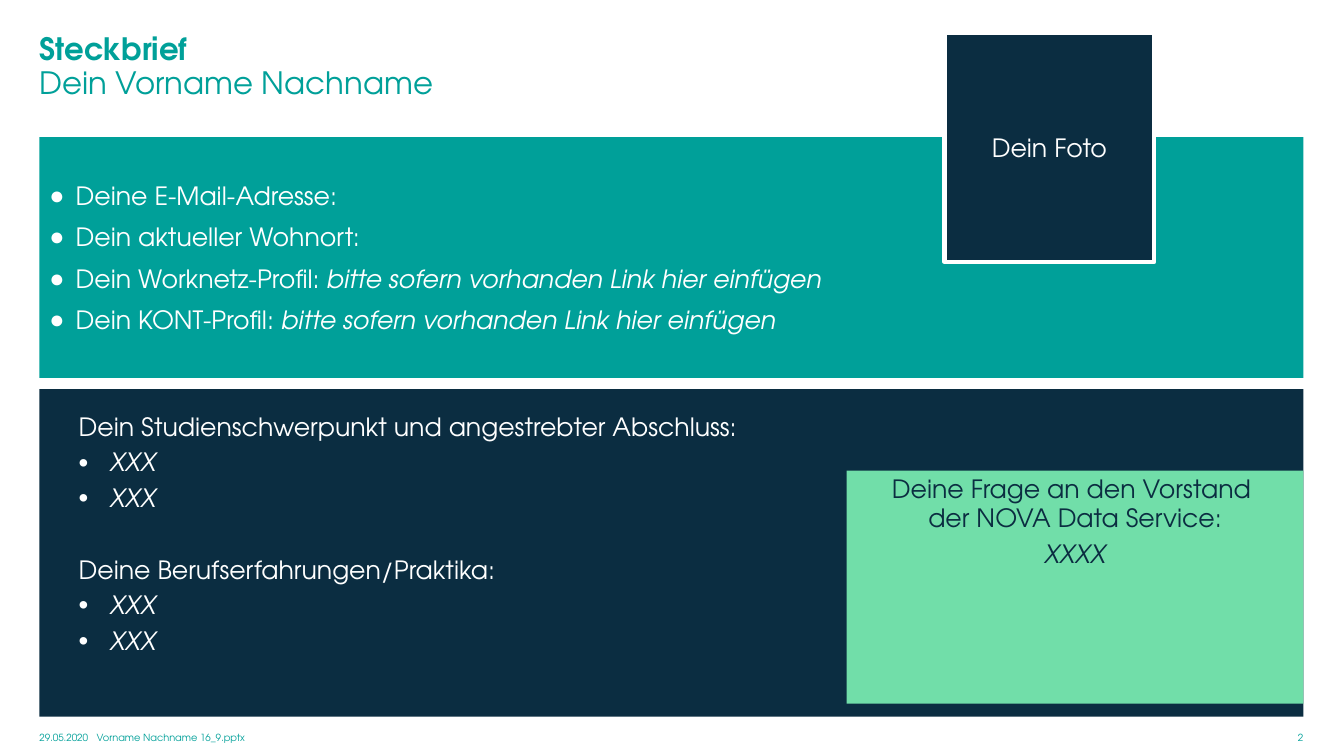
"""Build a one-page personal profile slide."""
from lxml.etree import SubElement
from pptx import Presentation
from pptx.dml.color import RGBColor
from pptx.enum.shapes import MSO_SHAPE
from pptx.enum.text import MSO_ANCHOR, MSO_AUTO_SIZE, PP_ALIGN
from pptx.oxml.ns import qn
from pptx.util import Inches, Pt

COLORS = {"teal": "00A099", "navy": "0B2D41", "mint": "71DEA9", "white": "FFFFFF"}
FONT = "TeX Gyre Adventor"
LEFT, WIDTH = 2.93, 94.05
RIGHT = LEFT + WIDTH
FOOTER_TOP, FOOTER_HEIGHT = 96, 3.2
SMALL = {"size": 7, "color": "teal"}
HEADING = {"size": 22, "color": "teal"}
LIGHT = {"size": 18, "color": "white"}
DARK = {"size": 18, "color": "navy"}
AIRY = {"space_before": Pt(6), "space_after": Pt(2)}
COMPACT = {"space_before": Pt(5), "space_after": Pt(0), "line_spacing": 0.95}
NEXT_TOPIC = {**COMPACT, "space_before": Pt(30.5)}
CENTERED = {"alignment": PP_ALIGN.CENTER}
DOT = {"char": "●", "indent": 0.26, "percent": 100}
SMALL_DOT = {"char": "•", "indent": 0.31, "percent": 110}


class ProfileSlide:
    """Hold the current slide and its style; positions are percent of the slide."""

    def __init__(self, presentation):
        self.page = presentation.slide_width, presentation.slide_height
        self.slide = presentation.slides.add_slide(presentation.slide_layouts[1])

    def box(self, area):
        """Convert percentages to lengths."""
        return [round(self.page[i % 2] * share / 100) for i, share in enumerate(area)]

    def place(self, shape, area):
        """Move a placeholder to an area."""
        for name, value in zip(("left", "top", "width", "height"), self.box(area)):
            setattr(shape, name, value)
        return shape

    def paint(self, shape, color):
        """Give a shape a solid fill."""
        shape.fill.solid()
        shape.fill.fore_color.rgb = RGBColor.from_string(COLORS[color])

    def frame(self, shape, insets=(0.1, 0.05, 0.1, 0.05), anchor=MSO_ANCHOR.MIDDLE, wrap=True):
        """Set the insets, anchor and wrapping of a text frame."""
        names = ("margin_left", "margin_top", "margin_right", "margin_bottom")
        settings = {name: Inches(inset) for name, inset in zip(names, insets)}
        settings |= {"vertical_anchor": anchor, "word_wrap": wrap, "auto_size": MSO_AUTO_SIZE.NONE}
        for name, value in settings.items():
            setattr(shape.text_frame, name, value)

    def add_paragraphs(self, shape, paragraphs, style):
        """Add paragraphs given as (runs, format, bullet) with runs as (text, format)."""
        text_frame = shape.text_frame
        for index, (runs, layout, bullet) in enumerate(paragraphs):
            paragraph = text_frame.add_paragraph() if index else text_frame.paragraphs[0]
            for name, value in {"alignment": PP_ALIGN.LEFT, **layout}.items():
                setattr(paragraph, name, value)
            if bullet:
                self.add_bullet(paragraph, **bullet)
            for text, emphasis in runs:
                self.add_text(paragraph, text, {**style, **emphasis})

    def add_text(self, paragraph, text, style):
        """Add text with its font, turning newlines into line breaks."""
        settings = {"name": FONT, "bold": False, "italic": False, **style}
        settings["size"] = Pt(settings["size"])
        color = settings.pop("color")
        for index, line in enumerate(text.split("\n")):
            if index:
                paragraph.add_line_break()
            if line:
                run = paragraph.add_run()
                run.text = line
                for name, value in settings.items():
                    setattr(run.font, name, value)
                run.font.color.rgb = RGBColor.from_string(COLORS[color])

    def add_bullet(self, paragraph, char, indent, percent):
        """Add a hanging bullet."""
        properties = paragraph._p.get_or_add_pPr()
        properties.set("marL", str(Inches(indent)))
        properties.set("indent", str(-Inches(indent)))
        color = SubElement(properties, qn("a:buClr"))
        SubElement(color, qn("a:srgbClr"), val=COLORS["white"])
        SubElement(properties, qn("a:buSzPct"), val=str(percent * 1000))
        SubElement(properties, qn("a:buFont"), typeface="Arial")
        SubElement(properties, qn("a:buChar"), char=char)

    def title(self, area, paragraphs):
        """Fill the title placeholder."""
        shape = self.place(self.slide.shapes.title, area)
        self.frame(shape, (0, 0.08, 0, 0), MSO_ANCHOR.BOTTOM)
        self.add_paragraphs(shape, paragraphs, HEADING)

    def body(self, area, color, paragraphs):
        """Fill the body placeholder as a coloured list."""
        shape = self.place(self.slide.placeholders[1], area)
        self.paint(shape, color)
        self.frame(shape)
        self.add_paragraphs(shape, paragraphs, LIGHT)

    def panel(self, area, color, paragraphs, style, border=None, **frame):
        """Add a coloured rectangle with text."""
        shape = self.slide.shapes.add_shape(MSO_SHAPE.RECTANGLE, *self.box(area))
        shape.shadow.inherit = False
        self.paint(shape, color)
        if border:
            shape.line.color.rgb = RGBColor.from_string(COLORS[border])
            shape.line.width = Pt(3)
        else:
            shape.line.fill.background()
        self.frame(shape, **frame)
        self.add_paragraphs(shape, paragraphs, style)

    def footer(self, left, width, text, layout, **frame):
        """Add a small footer text."""
        area = left, FOOTER_TOP, width, FOOTER_HEIGHT
        shape = self.slide.shapes.add_textbox(*self.box(area))
        self.frame(shape, **frame)
        self.add_paragraphs(shape, [([(text, {})], layout, None)], SMALL)


def main():
    """Compose and save the slide."""
    presentation = Presentation()
    presentation.slide_width, presentation.slide_height = Inches(13.33), Inches(7.5)
    profile = ProfileSlide(presentation)
    italic = {"italic": True}
    link_hint = "bitte sofern vorhanden Link hier einfügen"

    profile.footer(7.2, 41.1, "Vorname Nachname 16_9.pptx", {}, insets=(0, 0.05, 0.1, 0.05))
    profile.footer(RIGHT - 3, 3, "2", {"alignment": PP_ALIGN.RIGHT}, insets=(0.1, 0.05, 0, 0.05))
    profile.footer(LEFT, 4.05, "29.05.2020", {}, insets=(0, 0, 0, 0), wrap=False)

    contacts = [
        [("Deine E-Mail-Adresse:", {})],
        [("Dein aktueller Wohnort:", {})],
        [("Dein Worknetz-Profil: ", {}), (link_hint, italic)],
        [("Dein KONT-Profil: ", {}), (link_hint, italic)],
    ]
    profile.body((LEFT, 18.13, WIDTH, 31.87), "teal", [(runs, AIRY, DOT) for runs in contacts])

    heading = [("Steckbrief\n", {"bold": True}), ("Dein Vorname Nachname", {})]
    profile.title((LEFT, 6.93, 85, 6.4), [(heading, {"line_spacing": 0.9}, None)])

    photo = [([("Dein Foto", {})], {**AIRY, **CENTERED}, None)]
    profile.panel((70.28, 4.4, 15.6, 30.27), "navy", photo, LIGHT, border="white")

    topics = [
        ("Dein Studienschwerpunkt und angestrebter Abschluss:", COMPACT),
        ("Deine Berufserfahrungen/Praktika:", NEXT_TOPIC),
    ]
    background = []
    for topic, spacing in topics:
        background.append(([(topic, {})], spacing, None))
        background += [([("XXX", italic)], COMPACT, SMALL_DOT)] * 2
    profile.panel((LEFT, 51.47, WIDTH, 43.33), "navy", background, LIGHT,
                  insets=(0.39, 0.08, 0.35, 0.44))

    question = "Deine Frage an den Vorstand \nder NOVA Data Service:"
    lines = [(question, {}), ("XXXX", italic)]
    profile.panel((63, 62.27, RIGHT - 63, 30.8), "mint",
                  [([line], {**COMPACT, **CENTERED}, None) for line in lines], DARK,
                  anchor=MSO_ANCHOR.TOP)
    presentation.save("out.pptx")


if __name__ == "__main__":
    main()
